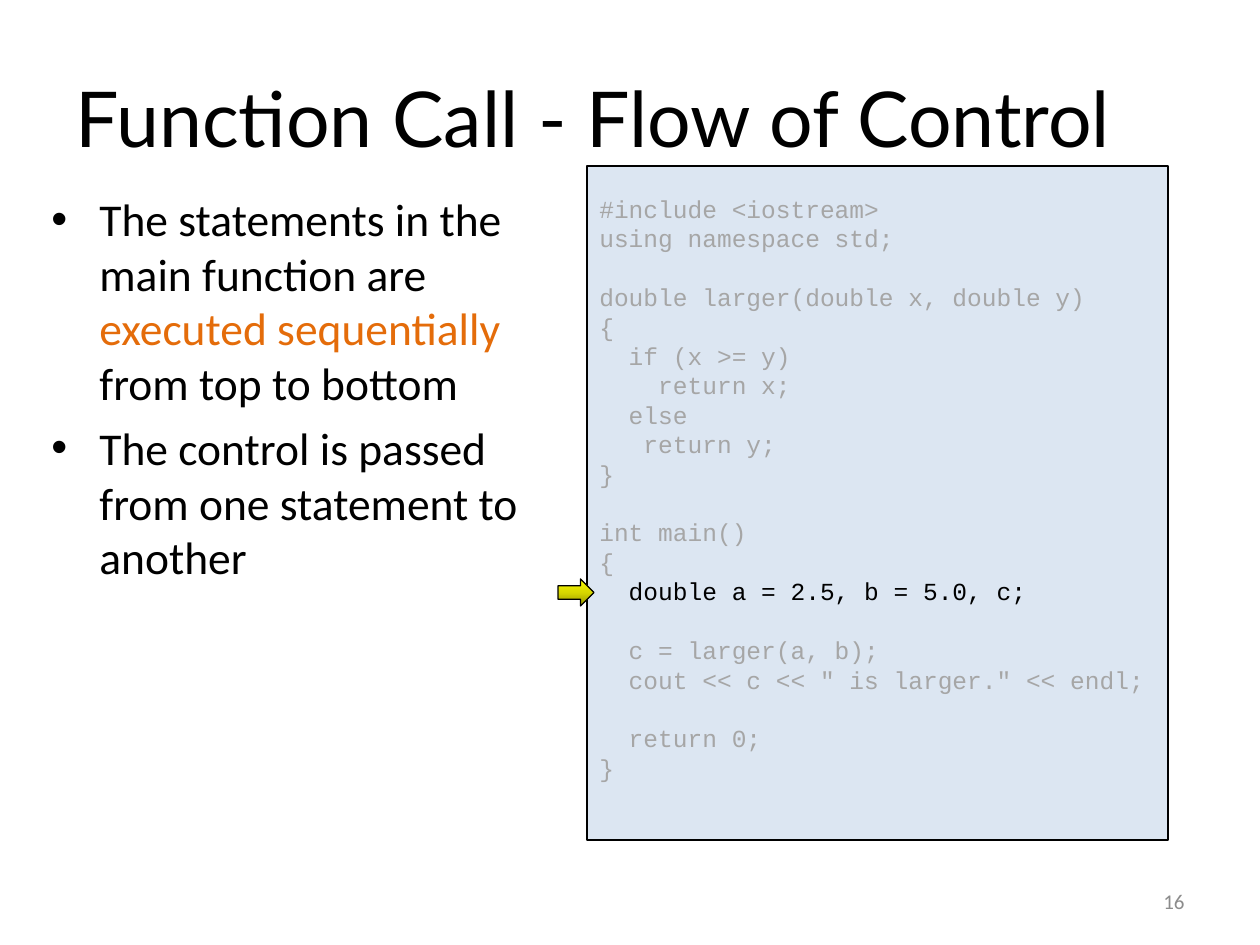
from lxml import etree
from pptx import Presentation
from pptx import util as u
from pptx.dml.color import RGBColor
from pptx.enum import shapes, text
from pptx.oxml import parse_xml
from pptx.oxml.ns import nsdecls, qn

EMU_PER_PX = 914400 / 126
BLACK, ORANGE, GREY = "000000", "E46C0A", "A6A6A6"
LINE_HEIGHT = 30

BULLETS = [
    [("The statements in the main function are ", BLACK),
     ("executed sequentially ", ORANGE),
     ("from top to bottom", BLACK)],
    [("The control is passed from one statement to another", BLACK)],
]

CODE = """#include <iostream>
using namespace std;

double larger(double x, double y)
{
  if (x >= y)
    return x;
  else
   return y;
}

int main()
{
  double a = 2.5, b = 5.0, c;

  c = larger(a, b);
  cout << c << " is larger." << endl;

  return 0;
}"""
CURRENT_STATEMENT = "  double a = 2.5, b = 5.0, c;"


def px(length):
    return u.Emu(round(length * EMU_PER_PX))


def colour(hex_string):
    return RGBColor.from_string(hex_string)


def add_text(paragraph, content, *, font, size, color=BLACK):
    run = paragraph.add_run()
    run.text = content
    run.font.name = font
    run.font.size = u.Pt(size)
    run.font.color.rgb = colour(color)


def next_paragraph(frame, index):
    return frame.add_paragraph() if index else frame.paragraphs[0]


def prepare_frame(shape, anchor):
    frame = shape.text_frame
    frame.word_wrap = True
    frame.auto_size = text.MSO_AUTO_SIZE.NONE
    frame.vertical_anchor = anchor
    return frame


def add_textbox(slide, left, top, width, height, anchor):
    shape = slide.shapes.add_textbox(px(left), px(top), px(width), px(height))
    return prepare_frame(shape, anchor)


def add_outlined_shape(slide, kind, left, top, width, height):
    shape = slide.shapes.add_shape(kind, px(left), px(top), px(width), px(height))
    shape.shadow.inherit = False
    shape.line.color.rgb = colour(BLACK)
    shape.line.width = u.Pt(0.75)
    return shape


def set_title(slide, content):
    title = slide.shapes.title
    title.left, title.top, title.width, title.height = map(px, (63, 38, 1134, 157))
    frame = prepare_frame(title, text.MSO_ANCHOR.MIDDLE)
    paragraph = frame.paragraphs[0]
    paragraph.alignment = text.PP_ALIGN.LEFT
    add_text(paragraph, content, font="Lato", size=44)


def add_bullets(slide):
    frame = add_textbox(slide, 39, 185, 512, 673, text.MSO_ANCHOR.TOP)
    for index, parts in enumerate(BULLETS):
        paragraph = next_paragraph(frame, index)
        properties = paragraph._p.get_or_add_pPr()
        properties.set("marL", str(px(48)))
        properties.set("indent", str(px(-48)))
        etree.SubElement(properties, qn("a:buFont"), typeface="Arial")
        etree.SubElement(properties, qn("a:buChar"), char="•")
        if index:
            paragraph.space_before = u.Pt(6)
        for content, color in parts:
            add_text(paragraph, content, font="Calibri", size=26, color=color)


def add_code_panel(slide):
    panel = add_outlined_shape(slide, shapes.MSO_SHAPE.RECTANGLE, 587, 166, 581, 674)
    panel.fill.solid()
    panel.fill.fore_color.rgb = colour("DCE6F2")
    frame = prepare_frame(panel, text.MSO_ANCHOR.MIDDLE)
    frame.margin_bottom = px(6 + LINE_HEIGHT)
    for index, line in enumerate(CODE.split("\n")):
        paragraph = next_paragraph(frame, index)
        paragraph.alignment = text.PP_ALIGN.LEFT
        if line:
            color = BLACK if line == CURRENT_STATEMENT else GREY
            add_text(paragraph, line, font="Courier New", size=14, color=color)
        else:
            # Keep empty code lines as tall as the others
            end = etree.SubElement(paragraph._p, qn("a:endParaRPr"), sz="1400")
            etree.SubElement(end, qn("a:latin"), typeface="Courier New")


def add_statement_arrow(slide):
    arrow = add_outlined_shape(slide, shapes.MSO_SHAPE.RIGHT_ARROW, 558, 579, 36, 27)
    arrow.fill.gradient()
    gradient = arrow._element.spPr.find(qn("a:gradFill"))
    stops = "".join(
        f'<a:gs pos="{position}000"><a:srgbClr val="{color}"/></a:gs>'
        for position, color in ((0, "979700"), (50, "D7D700"), (100, "FFFF00")))
    gradient.getparent().replace(gradient, parse_xml(
        f'<a:gradFill {nsdecls("a")}><a:gsLst>{stops}</a:gsLst>'
        '<a:lin ang="16200000" scaled="0"/></a:gradFill>'))


def add_page_number(slide, number):
    frame = add_textbox(slide, 903, 876, 294, 50, text.MSO_ANCHOR.MIDDLE)
    paragraph = frame.paragraphs[0]
    paragraph.alignment = text.PP_ALIGN.RIGHT
    add_text(paragraph, number, font="Calibri", size=12, color="8C8C8C")


def main():
    presentation = Presentation()
    presentation.slide_width, presentation.slide_height = px(1260), px(945)
    slide = presentation.slides.add_slide(presentation.slide_layouts[5])

    # Title and explanation
    set_title(slide, "Function Call - Flow of Control")
    add_bullets(slide)

    # Program with the current statement marked
    add_code_panel(slide)
    add_statement_arrow(slide)

    add_page_number(slide, "16")
    presentation.save("out.pptx")


if __name__ == "__main__":
    main()
